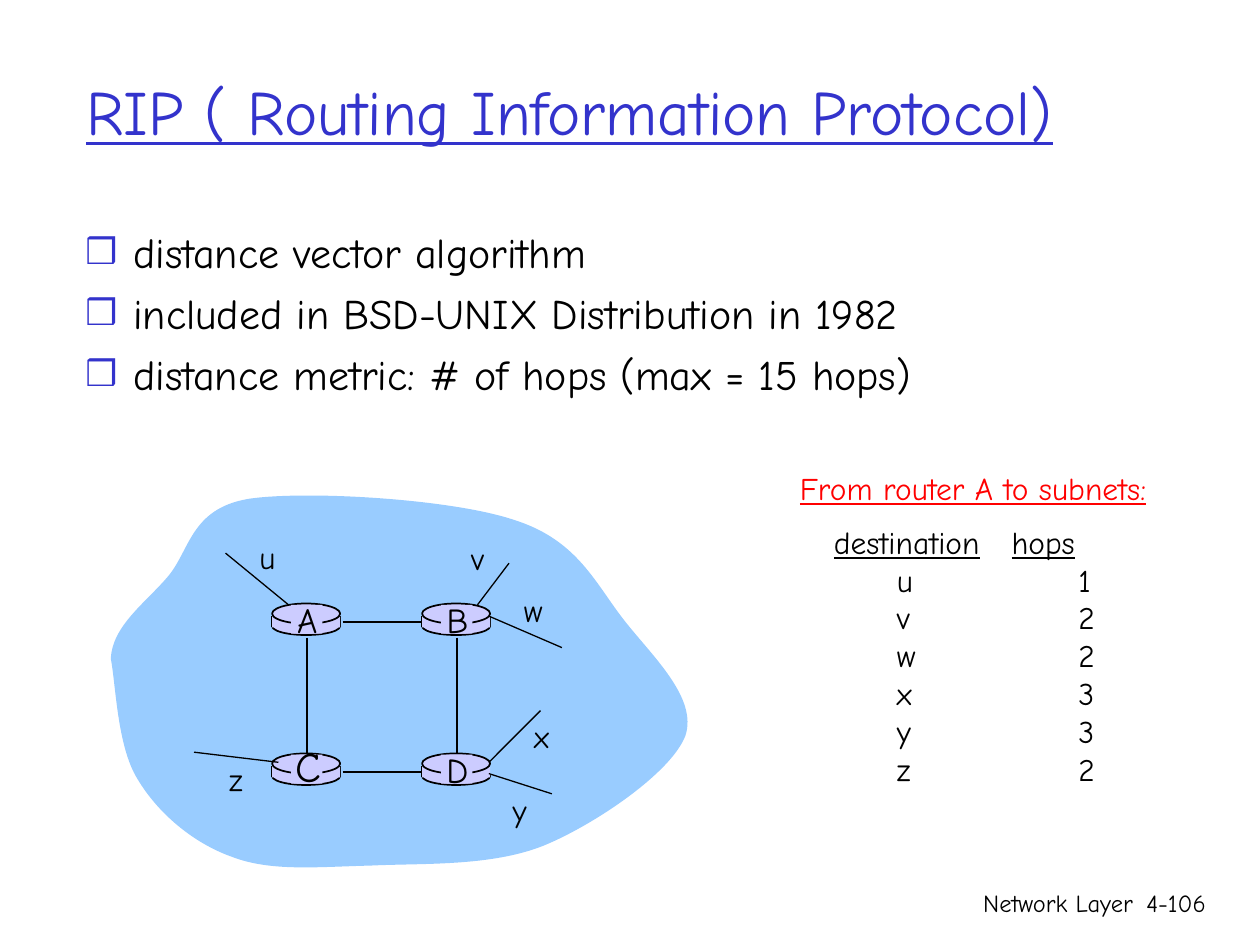
from dataclasses import dataclass
from itertools import chain
from typing import NamedTuple

from lxml.etree import SubElement
from pptx import Presentation
from pptx.dml.color import RGBColor
from pptx.enum.shapes import MSO_CONNECTOR, MSO_SHAPE
from pptx.enum.text import MSO_ANCHOR, PP_ALIGN
from pptx.oxml.ns import qn
from pptx.util import Emu, Inches, Pt

COLUMNS, ROWS = 100, 75
CELL = Inches(0.1)


@dataclass(frozen=True)
class Theme:
    font: str = "Comic Neue"
    bullet_font: str = "Arial"
    ink: str = "000000"
    accent: str = "3333CC"
    alert: str = "FF0000"
    cloud: str = "99CCFF"
    router: str = "CCCCFF"
    title: int = 36
    body: int = 24
    node: int = 20
    label: int = 18
    footer: int = 14
    outline: float = 1
    spoke: float = 0.75


class Box(NamedTuple):
    left: float
    top: float
    width: float
    height: float


class Router(NamedTuple):
    name: str
    column: int
    row: int
    size: int
    lift: float = 0
    sides: tuple[int, ...] = (0, 1)


class Subnet(NamedTuple):
    name: str
    hops: int
    start: tuple[float, float]
    end: tuple[float, float]
    label: tuple[float, float]


THEME = Theme()
ROUTER_LEFT, ROUTER_TOP, PITCH = 21.6, 47.9, 11.9
ROUTER_WIDTH = 5.4
ROUTERS = [
    Router("D", 1, 1, THEME.node, sides=(0,)),
    Router("C", 0, 1, THEME.body, 0.2),
    Router("B", 1, 0, THEME.node),
    Router("A", 0, 0, THEME.node),
]
SUBNETS = [
    Subnet("u", 1, (22.9, 48), (17.9, 43.9), (19.6, 42.2)),
    Subnet("v", 2, (37.9, 48), (40.4, 44.7), (36.4, 42.3)),
    Subnet("w", 2, (38.8, 48.9), (44.6, 51.4), (40.6, 46.4)),
    Subnet("x", 3, (38.8, 60.5), (42.9, 56.4), (41.4, 56.4)),
    Subnet("y", 3, (38.8, 61.4), (43.8, 63), (39.7, 62.3)),
    Subnet("z", 2, (22.1, 60.5), (15.4, 59.7), (17.2, 59.8)),
]
CLOUD_START = (8.8, 52.3)
CLOUD_CURVES = [
    ((8.9, 49.7), (11.5, 47.9), (13.3, 45.8)),
    ((15.1, 43.7), (15.1, 40.4), (19.7, 39.6)),
    ((24.3, 38.9), (36, 39.6), (40.9, 41.3)),
    ((45.9, 42.9), (47.3, 46.4), (49.6, 49.3)),
    ((51.8, 52.1), (55.4, 55.4), (54.4, 58.4)),
    ((53.3, 61.3), (47.3, 65.4), (43.2, 67.1)),
    ((39, 68.8), (33.5, 68.5), (29.4, 68.7)),
    ((25.2, 68.8), (21.5, 69.2), (18.4, 68)),
    ((15.3, 66.9), (12.5, 64.5), (10.9, 61.8)),
    ((9.3, 59.2), (9.2, 54.3), CLOUD_START),
]


def cells(count: float) -> Emu:
    return Emu(round(count * CELL))


def style(paragraph, size: int, color: str = THEME.ink, underline: bool | None = None) -> None:
    font = paragraph.font
    font.name, font.size, font.underline = THEME.font, Pt(size), underline
    font.color.rgb = RGBColor.from_string(color)


def add_frame(slide, box: Box, wrap: bool = True):
    frame = slide.shapes.add_textbox(*map(cells, box)).text_frame
    frame.word_wrap = wrap
    return frame


def add_text(slide, box: Box, text: str, size: int, color: str = THEME.ink,
             align=PP_ALIGN.LEFT, underline: bool | None = None, wrap: bool = True):
    frame = add_frame(slide, box, wrap)
    paragraph = frame.paragraphs[0]
    paragraph.text, paragraph.alignment = text, align
    style(paragraph, size, color, underline)
    return frame


def add_bullets(slide, box: Box, items: list[str]) -> None:
    frame = add_frame(slide, box)
    for index, item in enumerate(items):
        paragraph = frame.paragraphs[0] if index == 0 else frame.add_paragraph()
        paragraph.text = item
        properties = paragraph._p.get_or_add_pPr()
        properties.set("marL", str(Inches(0.38)))
        properties.set("indent", str(-Inches(0.38)))
        bullet_color = SubElement(properties, qn("a:buClr"))
        SubElement(bullet_color, qn("a:srgbClr"), val=THEME.accent)
        SubElement(properties, qn("a:buSzPct"), val="85000")
        SubElement(properties, qn("a:buFont"), typeface=THEME.bullet_font)
        SubElement(properties, qn("a:buChar"), char="❒")
        paragraph.space_before = Pt(6 if index else 0)
        style(paragraph, THEME.body)


def set_tabs(paragraph, stops: list[float]) -> None:
    tabs = SubElement(paragraph._p.get_or_add_pPr(), qn("a:tabLst"))
    for stop in stops:
        SubElement(tabs, qn("a:tab"), pos=str(cells(stop)), algn="l")


def add_hop_list(slide, box: Box) -> None:
    frame = add_frame(slide, box)
    header = frame.paragraphs[0]
    set_tabs(header, [14.1])
    for text, underline in (("destination", True), ("\t", False), ("hops", True)):
        run = header.add_run()
        run.text, run.font.underline = text, underline
    style(header, THEME.label)
    for subnet in SUBNETS:
        entry = frame.add_paragraph()
        entry.text = f"\t{subnet.name}\t{subnet.hops}"
        set_tabs(entry, [5, 19.4])
        style(entry, THEME.label)


def paint(solid, color: str) -> None:
    solid.shadow.inherit = False
    solid.fill.solid()
    solid.fill.fore_color.rgb = RGBColor.from_string(color)
    solid.line.fill.background()


def add_solid(slide, kind, box: Box, outlined: bool = False) -> None:
    solid = slide.shapes.add_shape(kind, *map(cells, box))
    paint(solid, THEME.router)
    if outlined:
        solid.line.color.rgb = RGBColor.from_string(THEME.ink)
        solid.line.width = Pt(THEME.outline)


def add_line(slide, start: tuple[float, float], end: tuple[float, float], width: float) -> None:
    line = slide.shapes.add_connector(MSO_CONNECTOR.STRAIGHT, *map(cells, start + end))
    line.line.color.rgb = RGBColor.from_string(THEME.ink)
    line.line.width = Pt(width)
    SubElement(line._element.spPr, qn("a:effectLst"))


def add_cloud(slide) -> None:
    outline = slide.shapes.build_freeform(*map(cells, CLOUD_START))
    outline.add_line_segments([tuple(map(cells, point)) for point in chain(*CLOUD_CURVES)])
    cloud = outline.convert_to_shape()
    contour = next(cloud._element.iter(qn("a:path")))
    segments = contour.findall(qn("a:lnTo"))
    for first in range(0, len(segments), 3):
        curve = SubElement(contour, qn("a:cubicBezTo"))
        for segment in segments[first:first + 3]:
            curve.append(segment[0])
            contour.remove(segment)
    SubElement(contour, qn("a:close"))
    paint(cloud, THEME.cloud)


def corner(router: Router) -> tuple[float, float]:
    return ROUTER_LEFT + router.column * PITCH, ROUTER_TOP + router.row * PITCH


def add_router(slide, router: Router) -> None:
    x, y = corner(router)
    add_solid(slide, MSO_SHAPE.OVAL, Box(x, y + 1.1, ROUTER_WIDTH, 1.4), outlined=True)
    for side in router.sides:
        edge = x + side * ROUTER_WIDTH
        add_line(slide, (edge, y + 1), (edge, y + 1.9), THEME.outline)
    add_solid(slide, MSO_SHAPE.RECTANGLE, Box(x, y + 1, ROUTER_WIDTH, 0.9))
    add_solid(slide, MSO_SHAPE.OVAL, Box(x, y, ROUTER_WIDTH, 1.6), outlined=True)


def add_router_name(slide, router: Router) -> None:
    x, y = corner(router)
    add_solid(slide, MSO_SHAPE.RECTANGLE, Box(x + 1.5, y + 0.1, 2.5, 2.3))
    height = router.size * 0.22
    box = Box(x + 0.9, y + 1.3 - router.lift - height / 2, 3.8, height)
    add_text(slide, box, router.name, router.size, align=PP_ALIGN.CENTER, wrap=False)


def add_network(slide) -> None:
    add_cloud(slide)
    for router in ROUTERS:
        add_router(slide, router)
    for index in range(2):
        x, y = ROUTER_LEFT + index * PITCH, ROUTER_TOP + index * PITCH
        add_line(slide, (x + 2.75, ROUTER_TOP + 2.7), (x + 2.75, ROUTER_TOP + PITCH), THEME.outline)
        add_line(slide, (ROUTER_LEFT + 5.6, y + 1.45), (ROUTER_LEFT + PITCH, y + 1.45), THEME.outline)
    for router in ROUTERS:
        add_router_name(slide, router)
    for subnet in SUBNETS:
        add_line(slide, subnet.start, subnet.end, THEME.spoke)
        add_text(slide, Box(*subnet.label, 3.3, 4), subnet.name, THEME.label, wrap=False)


def main() -> None:
    deck = Presentation()
    deck.slide_width, deck.slide_height = cells(COLUMNS), cells(ROWS)
    slide = deck.slides.add_slide(deck.slide_layouts[6])
    add_text(slide, Box(59.2, 70, 31.7, 5), "Network Layer", THEME.footer, align=PP_ALIGN.RIGHT)
    add_text(slide, Box(89.3, 70, 7.4, 5), "4-106", THEME.footer, align=PP_ALIGN.RIGHT)
    title = add_text(slide, Box(5.85, 2.5, 89.4, 12.5), "RIP ( Routing Information Protocol)",
                     THEME.title, THEME.accent, underline=True)
    title.vertical_anchor = MSO_ANCHOR.MIDDLE
    add_bullets(slide, Box(5.8, 17.5, 90, 18.5), [
        "distance vector algorithm",
        "included in BSD-UNIX Distribution in 1982",
        "distance metric: # of hops (max = 15 hops)",
    ])
    add_network(slide)
    add_hop_list(slide, Box(65.2, 41, 22.8, 25))
    add_text(slide, Box(62.5, 36.7, 29.7, 4), "From router A to subnets:",
             THEME.label, THEME.alert, underline=True, wrap=False)
    deck.save("out.pptx")


if __name__ == "__main__":
    main()
